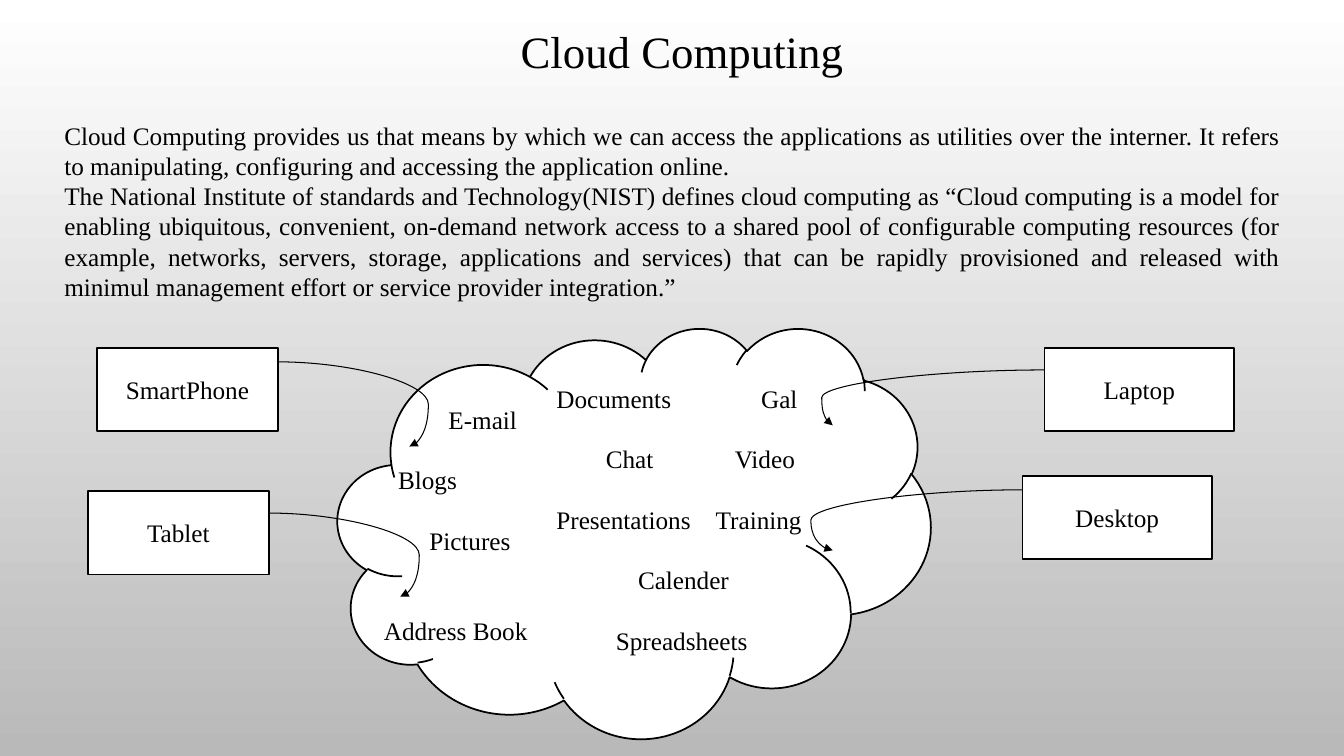
from dataclasses import dataclass

from lxml.etree import SubElement
from pptx import Presentation
from pptx.dml.color import RGBColor
from pptx.enum.shapes import MSO_CONNECTOR, MSO_SHAPE
from pptx.enum.text import MSO_ANCHOR, MSO_AUTO_SIZE, PP_ALIGN
from pptx.oxml.ns import qn
from pptx.util import Inches, Pt


@dataclass(frozen=True)
class Theme:
    font: str = "Times New Roman"
    ink: RGBColor = RGBColor(0, 0, 0)
    paper: RGBColor = RGBColor(255, 255, 255)
    shade: RGBColor = RGBColor(0xB9, 0xB9, 0xB9)
    title: int = 32
    body: int = 18
    blank_line: float = 21.6
    outline: float = 1.25
    arrow: float = 0.75


THEME = Theme()

DEFINITIONS = [
    "Cloud Computing provides us that means by which we can access the "
    "applications as utilities over the interner. It refers to manipulating, "
    "configuring and accessing the application online.",
    "The National Institute of standards and Technology(NIST) defines cloud "
    "computing as “Cloud computing is a model for enabling ubiquitous, "
    "convenient, on-demand network access to a shared pool of configurable "
    "computing resources (for example, networks, servers, storage, "
    "applications and services) that can be rapidly provisioned and released "
    "with minimul management effort or service provider integration.”",
]

# Box, then each service as label, indent in inches, blank lines above
SERVICE_COLUMNS = [
    ((5.42, 3.75, 2.5, 2.52), [
        ("Documents", 0, 0), ("Chat", 0.49, 1),
        ("Presentations", 0, 1), ("Calender", 0.81, 1)]),
    ((6.01, 3.75, 2.62, 2.83), [
        ("Gal", 1.44, 0), ("Video", 1.18, 1),
        ("Training", 0.99, 1), ("Spreadsheets", 0, 3)]),
    ((3.35, 3.96, 2.07, 2.52), [
        ("E-mail", 1, 0), ("Blogs", 0.5, 1),
        ("Pictures", 0.81, 1), ("Address Book", 0.36, 2)]),
]

# Device, box, arrow start, arrow end, bend of the curve
DEVICES = [
    ("SmartPhone", (0.96, 3.45, 1.8, 0.83), (2.75, 3.59), (4.06, 4.43), 1.144),
    ("Tablet", (0.87, 4.87, 1.8, 0.83), (2.66, 5.09), (3.97, 5.92), 1.144),
    ("Laptop", (10.36, 3.45, 1.88, 0.83), (10.36, 3.67), (8.26, 4.22), 1.052),
    ("Desktop", (10.14, 4.72, 1.88, 0.83), (10.14, 4.86), (8.26, 5.46), 1.116),
]


def inches(values):
    return [Inches(value) for value in values]


def style_paragraph(para, size, align):
    para.alignment = align
    para.font.name = THEME.font
    para.font.size = Pt(size)
    para.font.color.rgb = THEME.ink


def add_text(slide, place, lines, size=THEME.body, align=PP_ALIGN.LEFT, wrap=True):
    box = slide.shapes.add_textbox(*inches(place))
    frame = box.text_frame
    frame.text = "\n".join(lines)
    frame.word_wrap = wrap
    frame.auto_size = MSO_AUTO_SIZE.SHAPE_TO_FIT_TEXT
    for para in frame.paragraphs:
        style_paragraph(para, size, align)
    return box


def add_services(slide, place, services):
    """Add a column of services, staggered by indents and gaps of whole lines."""
    box = add_text(slide, place, [label for label, _, _ in services])
    for para, (_, indent, blanks) in zip(box.text_frame.paragraphs, services):
        para._p.get_or_add_pPr().set("marL", str(Inches(indent)))
        if blanks:
            para.space_before = Pt(blanks * THEME.blank_line)


def add_outlined(slide, preset, place):
    shape = slide.shapes.add_shape(preset, *inches(place))
    shape.shadow.inherit = False
    shape.fill.solid()
    shape.fill.fore_color.rgb = THEME.paper
    shape.line.color.rgb = THEME.ink
    shape.line.width = Pt(THEME.outline)
    return shape


def add_device(slide, label, place):
    shape = add_outlined(slide, MSO_SHAPE.RECTANGLE, place)
    frame = shape.text_frame
    frame.text = label
    frame.vertical_anchor = MSO_ANCHOR.MIDDLE
    style_paragraph(frame.paragraphs[0], THEME.body, PP_ALIGN.CENTER)


def add_curved_arrow(slide, start, end, bend):
    """Add a curve that swings past its end by the given share of its width."""
    arrow = slide.shapes.add_connector(MSO_CONNECTOR.CURVE, *inches(start + end))
    arrow.line.color.rgb = THEME.ink
    arrow.line.width = Pt(THEME.arrow)
    SubElement(arrow.line._get_or_add_ln(), qn("a:tailEnd"), type="triangle")
    properties = arrow._element.spPr
    SubElement(properties, qn("a:effectLst"))
    adjustments = properties.find(qn("a:prstGeom")).get_or_add_avLst()
    SubElement(adjustments, qn("a:gd"), name="adj1", fmla=f"val {round(bend * 100000)}")


def paint_background(slide):
    fill = slide.background.fill
    fill.gradient()
    fill.gradient_angle = 270
    for stop, position, color in zip(
            fill.gradient_stops, (0, 1), (THEME.paper, THEME.shade)):
        stop.position = position
        stop.color.rgb = color


def main():
    deck = Presentation()
    deck.slide_width, deck.slide_height = Inches(13.33), Inches(7.5)
    slide = deck.slides.add_slide(deck.slide_layouts[6])
    paint_background(slide)
    add_text(slide, (5.05, 0.19, 3.43, 0.64), ["Cloud Computing"],
             THEME.title, PP_ALIGN.CENTER, wrap=False)
    add_text(slide, (0.54, 1.14, 12.26, 2.52), DEFINITIONS, align=PP_ALIGN.JUSTIFY)
    add_outlined(slide, MSO_SHAPE.CLOUD, (3.35, 3.25, 5.88, 4.07))
    for place, services in SERVICE_COLUMNS:
        add_services(slide, place, services)
    for label, place, start, end, bend in DEVICES:
        add_device(slide, label, place)
        add_curved_arrow(slide, start, end, bend)
    deck.save("out.pptx")


if __name__ == "__main__":
    main()
